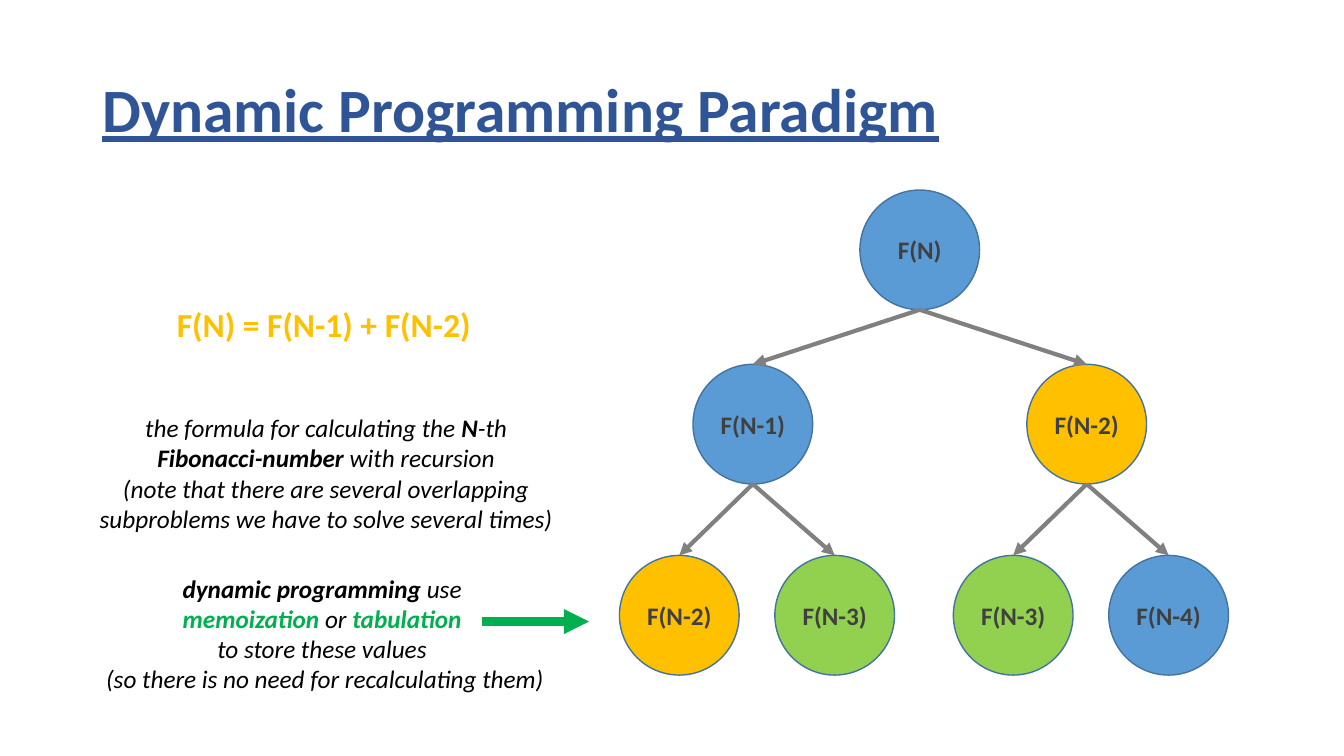
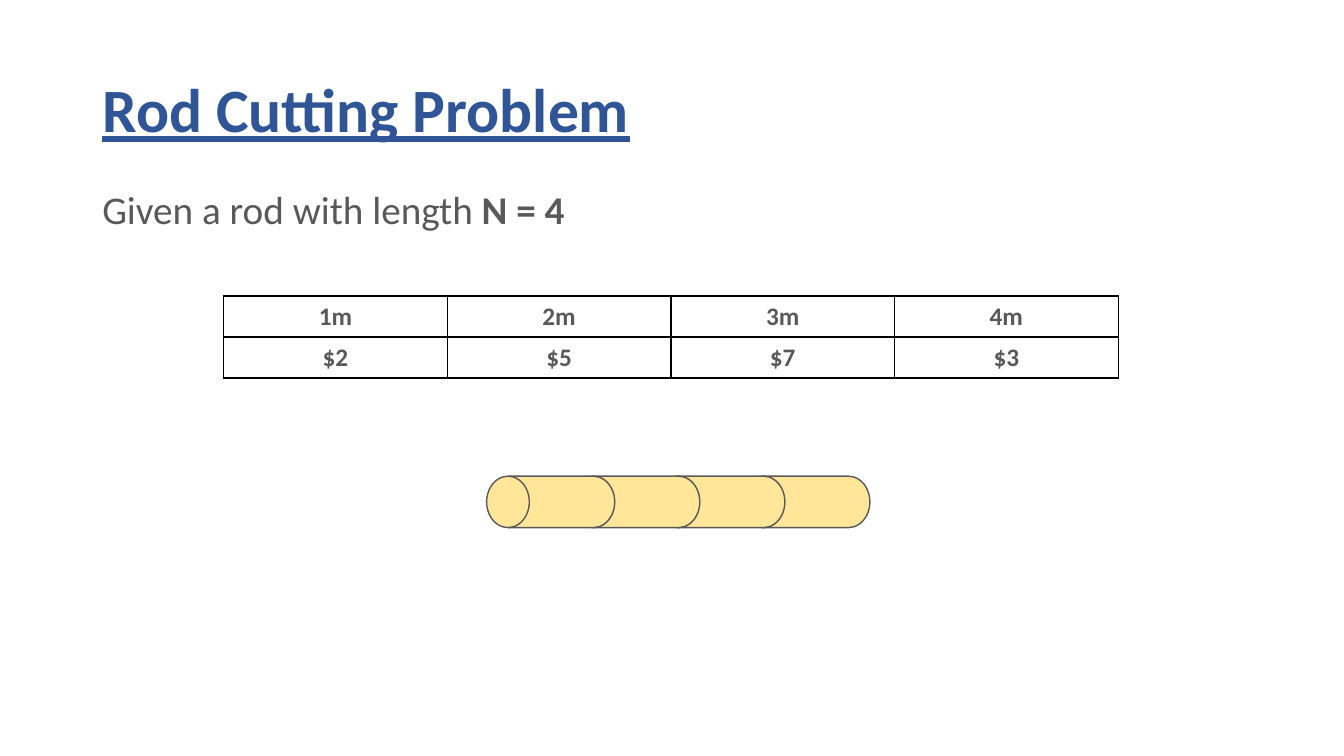
from lxml.etree import SubElement
from pptx import Presentation
from pptx.dml.color import RGBColor
from pptx.enum.shapes import MSO_CONNECTOR, MSO_SHAPE
from pptx.enum.text import MSO_ANCHOR, MSO_AUTO_SIZE, PP_ALIGN
from pptx.oxml.ns import qn
from pptx.util import Emu, Pt

FONT = "Calibri"
NAVY, BLUE, BLUE_EDGE = "2F5597", "5B9BD5", "43739E"
GOLD, LIME, GREEN, SAND = "FFC000", "92D050", "00B050", "FFE699"
BLACK, CHARCOAL, SLATE, GRAY = "000000", "404040", "595959", "808080"
NODE_SIZE = 114


def px(value):
    return Emu(value * 9525)


def rgb(code):
    return RGBColor.from_string(code)


def style(run, size, color, bold=False, italic=False, underline=None):
    font = run.font
    font.name = FONT
    font.size = Pt(size)
    font.color.rgb = rgb(color)
    font.bold = bold
    font.italic = italic
    font.underline = underline


def add_titled_slide(prs, heading):
    slide = prs.slides.add_slide(prs.slide_layouts[5])
    title = slide.shapes.title
    title.left, title.top, title.width, title.height = map(px, (88, 38, 1104, 139))
    frame = title.text_frame
    frame.text = heading
    frame.word_wrap = True
    frame.auto_size = MSO_AUTO_SIZE.NONE
    frame.vertical_anchor = MSO_ANCHOR.MIDDLE
    paragraph = frame.paragraphs[0]
    paragraph.alignment = PP_ALIGN.LEFT
    paragraph.line_spacing = 0.9
    style(paragraph.runs[0], 44, NAVY, bold=True, underline=True)
    return slide


def add_text(slide, box, lines, size, color, italic=False, align=PP_ALIGN.LEFT,
             wrap=False, spacing=None):
    frame = slide.shapes.add_textbox(*map(px, box)).text_frame
    frame.word_wrap = wrap
    for index, line in enumerate(lines):
        paragraph = frame.add_paragraph() if index else frame.paragraphs[0]
        paragraph.alignment = align
        paragraph.line_spacing = spacing
        for text, bold, *accent in line:
            run = paragraph.add_run()
            run.text = text
            style(run, size, accent[0] if accent else color, bold, italic)


def add_solid(slide, preset, box, fill, edge):
    shape = slide.shapes.add_shape(preset, *map(px, box))
    shape.shadow.inherit = False
    shape.fill.solid()
    shape.fill.fore_color.rgb = rgb(fill)
    shape.line.color.rgb = rgb(edge)
    shape.line.width = Pt(1)
    return shape


def add_node(slide, center_x, top, label, fill):
    box = (center_x - NODE_SIZE // 2, top, NODE_SIZE, NODE_SIZE)
    node = add_solid(slide, MSO_SHAPE.OVAL, box, fill, BLUE_EDGE)
    frame = node.text_frame
    frame.text = label
    frame.word_wrap = False
    frame.vertical_anchor = MSO_ANCHOR.MIDDLE
    frame.paragraphs[0].alignment = PP_ALIGN.CENTER
    style(frame.paragraphs[0].runs[0], 18, CHARCOAL, bold=True)
    return node


def add_arrow(slide, start, end, color, weight):
    arrow = slide.shapes.add_connector(MSO_CONNECTOR.STRAIGHT, *map(px, start + end))
    arrow.line.color.rgb = rgb(color)
    arrow.line.width = Pt(weight)
    SubElement(arrow.line._get_or_add_ln(), qn("a:tailEnd"), type="triangle")
    SubElement(arrow._element.spPr, qn("a:effectLst"))
    return arrow


def add_tree(slide, center_x, tops, tree):
    label, fill, branches = tree
    top, *lower_tops = tops
    node = add_node(slide, center_x, top, label, fill)
    for offset, subtree in branches:
        child_x = center_x + offset
        child = add_tree(slide, child_x, lower_tops, subtree)
        arrow = add_arrow(slide, (center_x, top + NODE_SIZE),
                          (child_x, lower_tops[0]), GRAY, 3)
        arrow.end_connect(child, 0)
    return node


def add_border(cell):
    properties = cell._tc.get_or_add_tcPr()
    for index, side in enumerate(("lnL", "lnR", "lnT", "lnB")):
        line = properties.makeelement(qn(f"a:{side}"), {"w": str(Pt(1))})
        fill = SubElement(line, qn("a:solidFill"))
        SubElement(fill, qn("a:srgbClr"), val=BLACK)
        properties.insert(index, line)


def add_price_table(slide, left, top, column_width, row_height, rows):
    columns = len(rows[0])
    table = slide.shapes.add_table(
        len(rows), columns, px(left), px(top),
        px(column_width * columns), px(row_height * len(rows))).table
    table.first_row = False
    table.horz_banding = False
    for row_index, row in enumerate(rows):
        for column_index, text in enumerate(row):
            cell = table.cell(row_index, column_index)
            cell.text = text
            cell.fill.background()
            add_border(cell)
            paragraph = cell.text_frame.paragraphs[0]
            paragraph.alignment = PP_ALIGN.CENTER
            style(paragraph.runs[0], 18, SLATE, bold=True)


def add_rod(slide, left, top, step, pieces):
    for index in reversed(range(pieces)):
        piece = add_solid(slide, MSO_SHAPE.FLOWCHART_MAGNETIC_DISK,
                          (left + step * index, top, 49, 122), SAND, SLATE)
        piece.rotation = 270


def build_paradigm(prs):
    slide = add_titled_slide(prs, "Dynamic Programming Paradigm")
    add_text(slide, (159, 285, 301, 48), [[("F(N) = F(N-1) + F(N-2)", True)]], 24, GOLD)
    add_text(slide, (83, 388, 455, 126), [
        [("the formula for calculating the ", False), ("N", True), ("-th", False)],
        [("Fibonacci-number", True), (" with recursion", False)],
        [("(note that there are several overlapping", False)],
        [("subproblems we have to solve several times)", False)],
    ], 18, BLACK, italic=True, align=PP_ALIGN.CENTER)
    add_text(slide, (89, 541, 441, 126), [
        [("dynamic programming", True), (" use ", False)],
        [("memoization", True, GREEN), (" or ", False), ("tabulation ", True, GREEN)],
        [("to store these values ", False)],
        [("(so there is no need for recalculating them)", False)],
    ], 18, BLACK, italic=True, align=PP_ALIGN.CENTER)
    add_arrow(slide, (459, 592), (561, 592), GREEN, 6)

    first_call = ("F(N-1)", BLUE, [(-70, ("F(N-2)", GOLD, [])),
                                   (78, ("F(N-3)", LIME, []))])
    second_call = ("F(N-2)", GOLD, [(-70, ("F(N-3)", LIME, [])),
                                    (78, ("F(N-4)", BLUE, []))])
    calls = ("F(N)", BLUE, [(-159, first_call), (159, second_call)])
    add_tree(slide, 876, (181, 347, 529), calls)


def build_rod_cutting(prs):
    slide = add_titled_slide(prs, "Rod Cutting Problem")
    add_text(slide, (88, 177, 1104, 504),
             [[("Given a rod with length ", False), ("N = 4", True)]],
             28, SLATE, wrap=True, spacing=0.9)
    add_price_table(slide, 213, 282, 213, 39,
                    [["1m", "2m", "3m", "4m"], ["$2", "$5", "$7", "$3"]])
    add_rod(slide, 500, 417, 81, 4)


def main():
    prs = Presentation()
    prs.slide_width, prs.slide_height = px(1280), px(720)
    build_paradigm(prs)
    build_rod_cutting(prs)
    prs.save("out.pptx")


if __name__ == "__main__":
    main()
